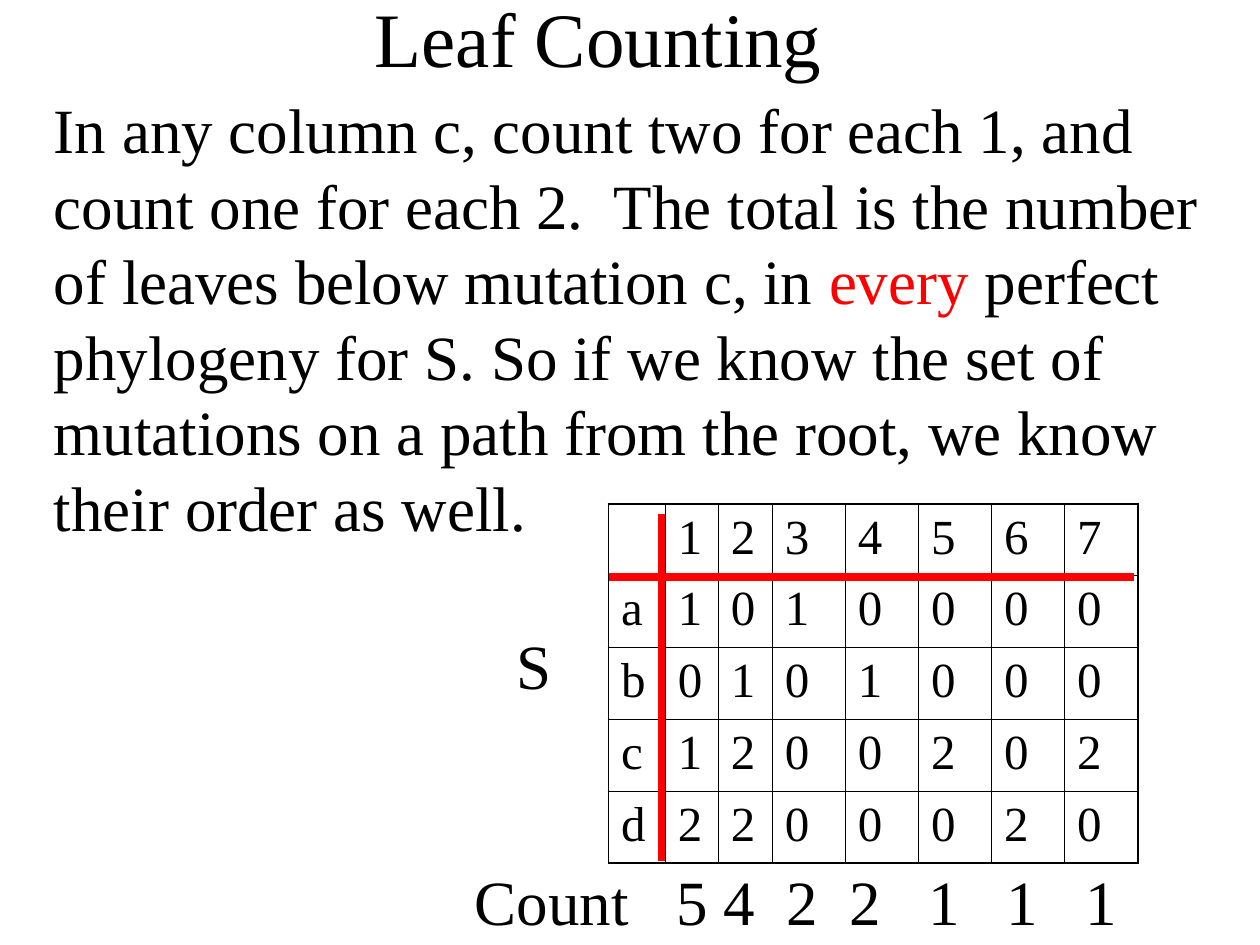
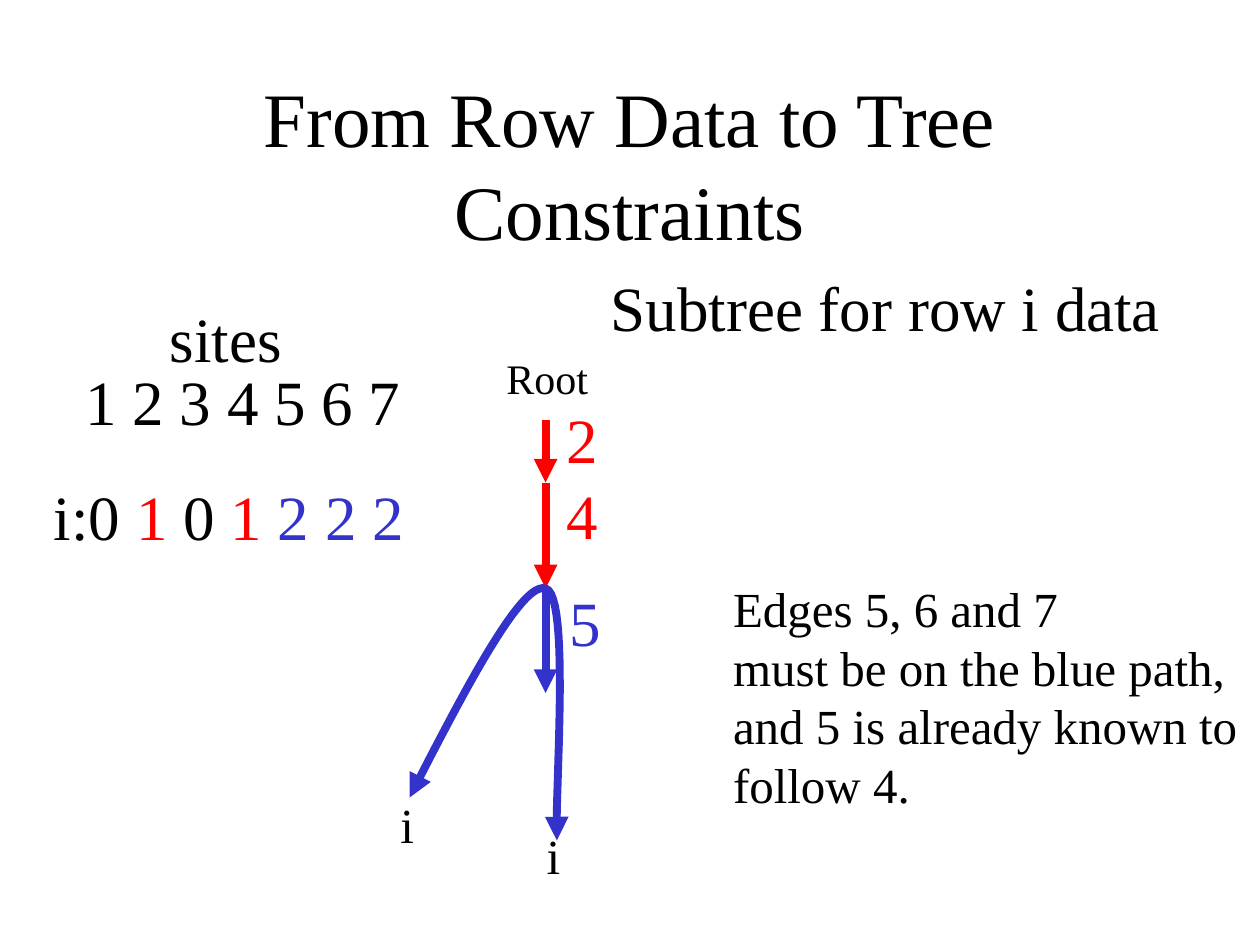
import dataclasses

import pptx
import pptx.dml.color
import pptx.enum.shapes
import pptx.enum.text
import pptx.oxml
import pptx.oxml.ns
import pptx.util

PX = 9144  # EMU in one px; 100 px make an inch
TITLE_ONLY = 5


@dataclasses.dataclass(frozen=True)
class Theme:
    font: str = "Times New Roman"
    black: str = "000000"
    red: str = "FF0000"
    blue: str = "3333CC"
    white: str = "FFFFFF"
    title: int = 44
    body: int = 36
    note: int = 28
    label: int = 24
    stroke: float = 4.5
    outer_border: float = 1.08
    inner_border: float = 0.45


THEME = Theme()


def px(*lengths):
    return [pptx.util.Emu(length * PX) for length in lengths]


def rgb(color):
    return pptx.dml.color.RGBColor.from_string(color)


def add_xml(parent, tag, **attributes):
    element = parent.makeelement(pptx.oxml.ns.qn(tag), attributes)
    parent.append(element)
    return element


def write(frame, *lines, size=THEME.body, color=THEME.black, align=None,
          gap=0, indent=0, tabs=()):
    """Write one paragraph per line; a line is a string or a list of (text, color).

    gap is the space between paragraphs in points; indent and tabs belong
    to the first paragraph.
    """
    for number, line in enumerate(lines):
        paragraph = frame.add_paragraph() if number else frame.paragraphs[0]
        properties = paragraph._p.get_or_add_pPr()
        if number == 0 and indent:
            properties.set("marL", str(indent * PX))
        if number == 0 and tabs:
            stops = add_xml(properties, "a:tabLst")
            for stop in tabs:
                add_xml(stops, "a:tab", pos=str(stop * PX), algn="l")
        if align is not None:
            paragraph.alignment = align
        paragraph.space_before = pptx.util.Pt(gap if number else 0)
        for text, run_color in [(line, color)] if isinstance(line, str) else line:
            run = paragraph.add_run()
            run.text = text
            run.font.name = THEME.font
            run.font.size = pptx.util.Pt(size)
            run.font.color.rgb = rgb(run_color)


def add_text(slide, box, *lines, wrap=False, **text_format):
    frame = slide.shapes.add_textbox(*px(*box)).text_frame
    frame.word_wrap = wrap
    write(frame, *lines, **text_format)


def add_titled_slide(presentation, title, box):
    slide = presentation.slides.add_slide(presentation.slide_layouts[TITLE_ONLY])
    slide.background.fill.solid()
    slide.background.fill.fore_color.rgb = rgb(THEME.white)
    shape = slide.shapes.title
    shape.left, shape.top, shape.width, shape.height = px(*box)
    frame = shape.text_frame
    frame.word_wrap = True
    frame.auto_size = pptx.enum.text.MSO_AUTO_SIZE.NONE
    frame.vertical_anchor = pptx.enum.text.MSO_ANCHOR.MIDDLE
    write(frame, title, size=THEME.title, align=pptx.enum.text.PP_ALIGN.CENTER)
    return slide


def style_line(shape, color, head=False, tail=False):
    shape.line.color.rgb = rgb(color)
    shape.line.width = pptx.util.Pt(THEME.stroke)
    line = shape.line._get_or_add_ln()
    for tag, wanted in (("a:headEnd", head), ("a:tailEnd", tail)):
        if wanted:
            add_xml(line, tag, type="triangle")


def add_line(slide, start, end, color, arrow=False):
    connector = slide.shapes.add_connector(
        pptx.enum.shapes.MSO_CONNECTOR.STRAIGHT, *px(*start, *end))
    style_line(connector, color, tail=arrow)
    add_xml(connector._element.spPr, "a:effectLst")


def bezier(points, steps=24):
    """Points along a cubic curve, without its first point."""
    for step in range(1, steps + 1):
        t = step / steps
        weights = ((1 - t) ** 3, 3 * t * (1 - t) ** 2, 3 * t * t * (1 - t), t ** 3)
        yield tuple(round(sum(w * point[axis] for w, point in zip(weights, points)) * PX)
                    for axis in (0, 1))


def add_curve(slide, points, color):
    """Draw joined cubic curves, with an arrowhead at both ends."""
    builder = slide.shapes.build_freeform(*px(*points[0]), scale=1.0)
    for first in range(0, len(points) - 1, 3):
        builder.add_line_segments(bezier(points[first:first + 4]), close=False)
    shape = builder.convert_to_shape()
    shape.shadow.inherit = False
    shape.fill.background()
    style_line(shape, color, head=True, tail=True)


def set_borders(cell, widths):
    properties = cell._tc.get_or_add_tcPr()
    for side, width in zip("LRTB", widths):
        line = add_xml(properties, f"a:ln{side}", w=str(pptx.util.Pt(width)))
        add_xml(add_xml(line, "a:solidFill"), "a:srgbClr", val=THEME.black)


def add_matrix(slide, left, top):
    """Mutation matrix S with its red axes."""
    rows = [" 1234567", "a1010000", "b0101000", "c1200202", "d2200020"]
    widths = [45, 42, 43] + [58] * 5
    row_height = 57
    width, height = sum(widths), row_height * len(rows)
    table = slide.shapes.add_table(
        len(rows), len(widths), *px(left, top, width, height)).table
    table.first_row = table.horz_banding = False
    for column, column_width in zip(table.columns, px(*widths)):
        column.width = column_width
    last_row, last_column = len(rows) - 1, len(widths) - 1
    for r, values in enumerate(rows):
        table.rows[r].height = px(row_height)[0]
        for c, value in enumerate(values):
            cell = table.cell(r, c)
            on_edge = (c == 0, c == last_column, r == 0, r == last_row)
            set_borders(cell, [THEME.outer_border if edge else THEME.inner_border
                               for edge in on_edge])
            cell.fill.background()
            if value.strip():
                write(cell.text_frame, value, size=THEME.note)
    axis_x, axis_y = left + 42, top + 58
    add_line(slide, (axis_x, top + 8), (axis_x, top + height - 2), THEME.red)
    add_line(slide, (left, axis_y), (left + width - 3, axis_y), THEME.red)


def add_tree(slide, left, top):
    """Subtree whose edges run down one trunk; the box starts at the root label."""
    trunk = left + 41
    add_text(slide, (left, top, 108, 50), "Root", size=THEME.label, wrap=True)
    add_text(slide, (left + 48, top + 38, 45, 130), "2", "4", color=THEME.red)
    levels = [top + offset for offset in (58, 108, 192, 275)]
    for start, end, color in zip(levels, levels[1:], (THEME.red, THEME.red, THEME.blue)):
        add_line(slide, (trunk, start), (trunk, end), color, arrow=True)
    add_text(slide, (left + 50, top + 183, 45, 70), "5", color=THEME.blue)
    path = [(-67, 358), (-23, 272), (22, 186), (41, 192), (61, 197), (48, 358), (50, 392)]
    add_curve(slide, [(left + x, top + y) for x, y in path], THEME.blue)
    for x, y in ((-84, 351), (32, 375)):
        add_text(slide, (left + x, top + y, 31, 57), "i", size=THEME.note)


def add_site_row(slide, left, top):
    """Site numbers above the data of row i."""
    add_text(slide, (left + 92, top, 109, 70), "sites")
    add_text(slide, (left, top + 50, 317, 162), "1 2 3 4 5 6 7",
             [("i:0 ", THEME.black), ("1", THEME.red), (" 0 ", THEME.black),
              ("1", THEME.red), (" 2 2 2", THEME.blue)],
             wrap=True, gap=22.5, indent=25)


def build_leaf_counting(presentation):
    slide = add_titled_slide(presentation, "Leaf Counting", (50, -33, 850, 125))
    add_matrix(slide, 483, 400)
    add_text(slide, (33, 67, 942, 370),
             "In any column c, count two for each 1, and",
             "count one for each 2.  The total is the number",
             [("of leaves below mutation c, in ", THEME.black), ("every", THEME.red),
              (" perfect", THEME.black)],
             "phylogeny for S. So if we know the set of",
             "mutations on a path from the root, we know",
             "their order as well.", wrap=True)
    add_text(slide, (400, 492, 48, 70), "S")
    add_text(slide, (367, 680, 580, 70), "Count\t5\t4\t2\t2\t1\t1\t1", wrap=True,
             tabs=(160, 197, 247, 297, 360, 422, 485))


def build_tree_constraints(presentation):
    slide = add_titled_slide(
        presentation, "From Row Data to Tree Constraints", (75, 67, 850, 125))
    add_site_row(slide, 33, 233)
    add_text(slide, (475, 208, 500, 70), "Subtree for row i data", wrap=True)
    add_tree(slide, 392, 275)
    add_text(slide, (572, 454, 420, 197), "Edges 5, 6 and 7",
             "must be on the blue path,", "and 5 is already known to", "follow 4.",
             size=THEME.note)


def main():
    presentation = pptx.Presentation()
    presentation.slide_width, presentation.slide_height = px(1000, 750)
    build_leaf_counting(presentation)
    build_tree_constraints(presentation)
    presentation.save("out.pptx")


if __name__ == "__main__":
    main()
